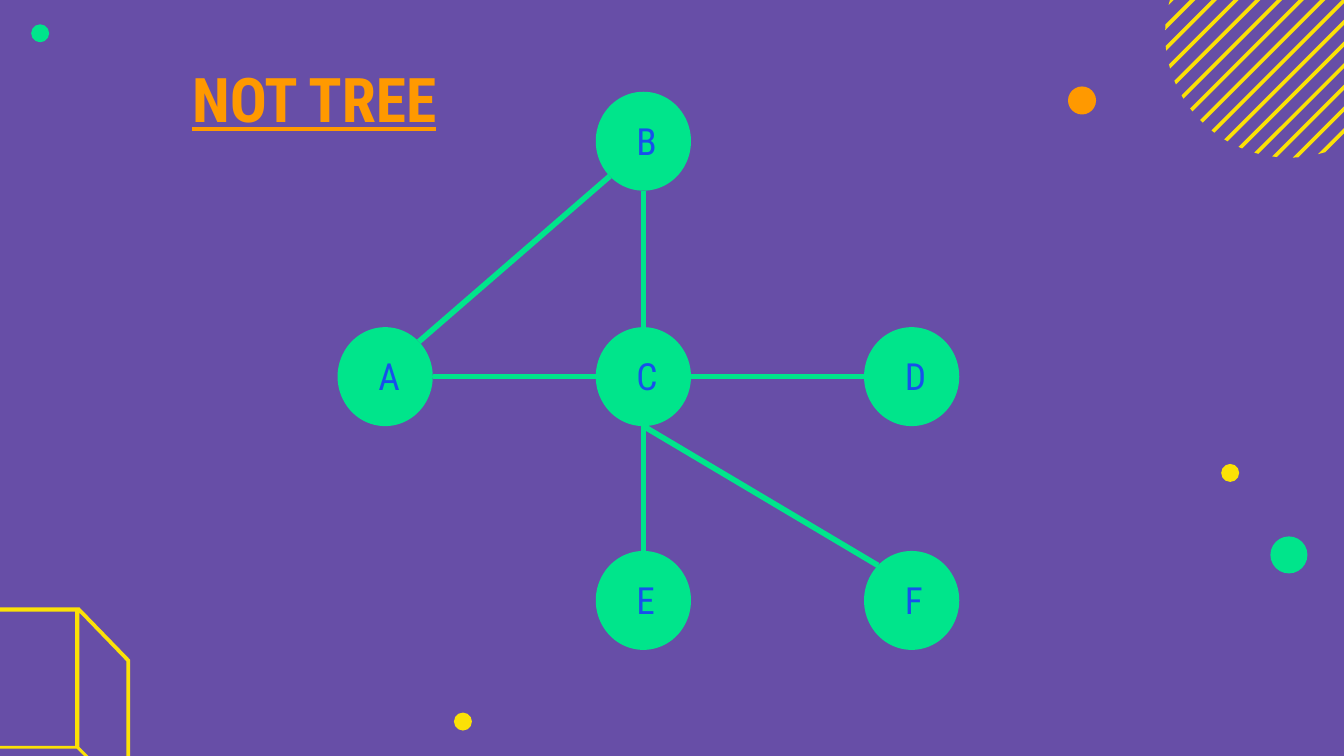
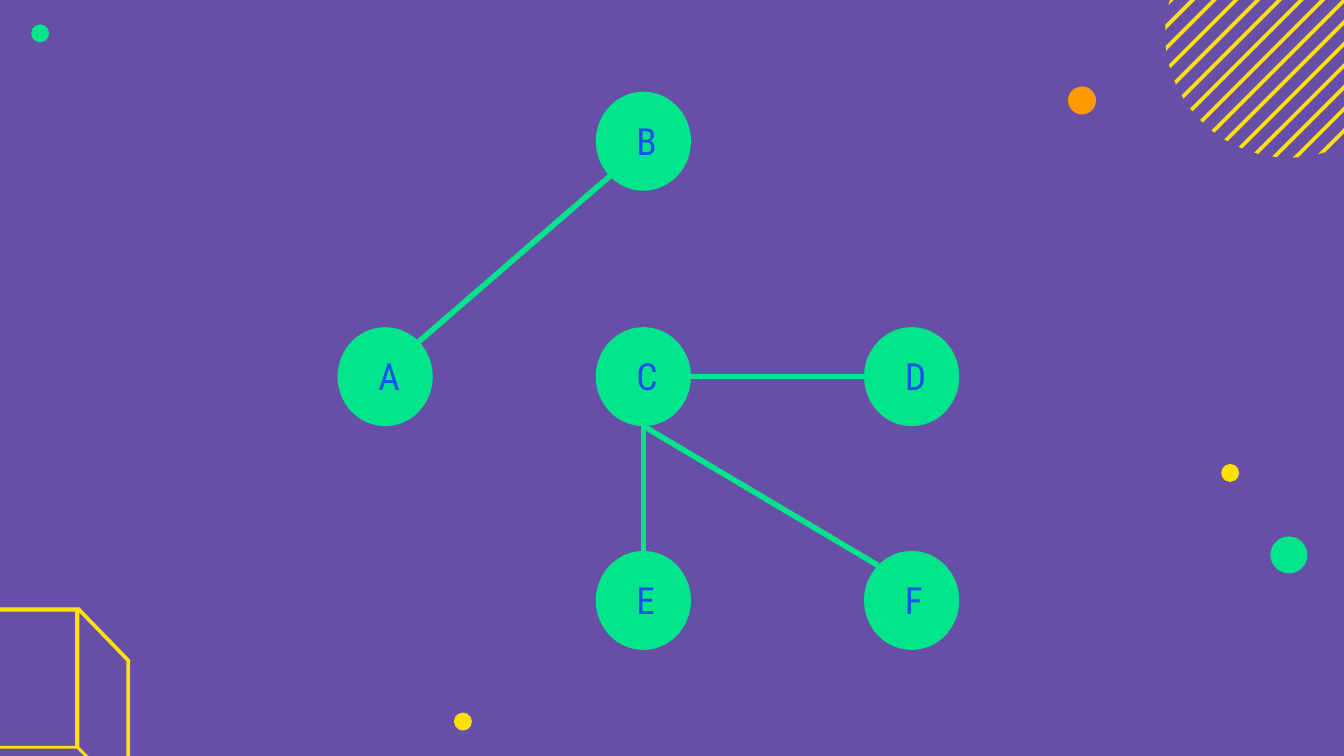
import dataclasses
import math

import lxml.etree
import pptx
import pptx.dml.color
import pptx.enum.shapes
import pptx.enum.text
import pptx.oxml.ns
import pptx.util

Cm = pptx.util.Cm
Pt = pptx.util.Pt
Rgb = pptx.dml.color.RGBColor


@dataclasses.dataclass(frozen=True)
class Theme:
    purple: Rgb = Rgb.from_string("674EA7")
    green: Rgb = Rgb.from_string("00E58B")
    yellow: Rgb = Rgb.from_string("FBE106")
    orange: Rgb = Rgb.from_string("FF9900")
    blue: Rgb = Rgb.from_string("1750EB")
    font: str = "Roboto Condensed"
    title_size: Pt = Pt(33)
    letter_size: Pt = Pt(20)
    edge_width: Pt = Pt(3)


THEME = Theme()
TITLE_ONLY_LAYOUT, BLANK_LAYOUT = 5, 6

# Lengths in the tables below are centimetres.
NODE_WIDTH, NODE_HEIGHT = 1.8, 1.87
LETTER_WIDTH, LETTER_HEIGHT = 0.76, 1.37
LEFT, MIDDLE, RIGHT = 7.28, 12.16, 17.23
TOP, CENTRE, BOTTOM = 2.67, 7.12, 11.35
NODES = {
    "A": (LEFT, CENTRE),
    "C": (MIDDLE, CENTRE),
    "D": (RIGHT, CENTRE),
    "B": (MIDDLE, TOP),
    "E": (MIDDLE, BOTTOM),
    "F": (RIGHT, BOTTOM),
}

# Connection sites of an ellipse, counter-clockwise from the top.
N, NW, W, SW, S, SE, E, NE = range(8)
SHARED_EDGES = [
    (("C", E), ("D", W)),
    (("E", N), ("C", S)),
    (("F", NW), ("C", S)),
    (("A", NE), ("B", SW)),
]
CYCLE_EDGES = [(("A", E), ("C", W)), (("C", N), ("B", S))]

DOTS = [  # colour, centre x, centre y, diameter
    (THEME.yellow, 8.75, 13.64, 0.34),
    (THEME.yellow, 23.25, 8.94, 0.34),
    (THEME.orange, 20.45, 1.9, 0.53),
    (THEME.green, 24.36, 10.49, 0.7),
    (THEME.green, 0.76, 0.63, 0.34),
]
CUBE_CONTOURS = [  # outline, then the three faces cut out of it
    [(-1.19, 11.48), (-1.19, 14.15), (-0.2, 15.14),
     (2.46, 15.14), (2.46, 12.47), (1.5, 11.48)],
    [(1.42, 11.56), (1.42, 14.1), (-1.12, 14.1), (-1.12, 11.56)],
    [(1.5, 11.58), (2.39, 12.5), (2.39, 15.01), (1.5, 14.12)],
    [(1.45, 14.15), (2.36, 15.06), (-0.18, 15.06), (-1.09, 14.15)],
]
STRIPE_DISC = (24.36, 0.64, 2.34)  # centre x, centre y, radius
STRIPE_PITCH, STRIPE_THICKNESS = 0.29, 0.07
STRIPES_EACH_SIDE = 7


def paint(shape, colour):
    shape.shadow.inherit = False
    shape.fill.solid()
    shape.fill.fore_color.rgb = colour
    shape.line.fill.background()


def centred_box(x, y, width, height):
    return Cm(x - width / 2), Cm(y - height / 2), Cm(width), Cm(height)


def add_ellipse(shapes, x, y, width, height, colour):
    ellipse = shapes.add_shape(
        pptx.enum.shapes.MSO_SHAPE.OVAL, *centred_box(x, y, width, height))
    paint(ellipse, colour)
    return ellipse


def add_outline(shapes, contours, colour):
    """Add one filled freeform; later contours are holes in the first."""
    builder = None
    for contour in contours:
        start, *others = [(Cm(x), Cm(y)) for x, y in contour]
        if builder is None:
            builder = shapes.build_freeform(*start)
        else:
            builder.move_to(*start)
        builder.add_line_segments(others, close=True)
    paint(builder.convert_to_shape(), colour)


def chord(offset):
    """Return both ends of the rising diagonal chord at this distance from the centre."""
    x, y, radius = STRIPE_DISC
    half = math.sqrt(radius ** 2 - offset ** 2)
    diagonal = math.sqrt(0.5)
    return [(x + (offset + side * half) * diagonal,
             y + (offset - side * half) * diagonal) for side in (1, -1)]


def add_striped_disc(shapes):
    group = shapes.add_group_shape()
    for index in range(-STRIPES_EACH_SIDE, STRIPES_EACH_SIDE + 1):
        offset = index * STRIPE_PITCH
        upper = chord(offset - STRIPE_THICKNESS / 2)
        lower = chord(offset + STRIPE_THICKNESS / 2)
        add_outline(group.shapes, [upper + lower[::-1]], THEME.yellow)


def decorate_master(master, slide):
    """Draw the decoration on the slide, then move it to the master."""
    master.background.fill.solid()
    master.background.fill.fore_color.rgb = THEME.purple
    existing = {shape.shape_id for shape in slide.shapes}
    add_outline(slide.shapes, CUBE_CONTOURS, THEME.yellow)
    add_striped_disc(slide.shapes)
    for colour, x, y, diameter in DOTS:
        add_ellipse(slide.shapes, x, y, diameter, diameter, colour)
    next_id = max(shape.shape_id for shape in master.shapes) + 1
    for shape in list(slide.shapes):
        if shape.shape_id in existing:
            continue
        for properties in shape.element.xpath(".//p:cNvPr"):
            properties.set("id", str(next_id))
            next_id += 1
        master.shapes.element.append(shape.element)


def write(text_frame, text, size, colour):
    text_frame.word_wrap = True
    text_frame.auto_size = pptx.enum.text.MSO_AUTO_SIZE.SHAPE_TO_FIT_TEXT
    text_frame.vertical_anchor = pptx.enum.text.MSO_ANCHOR.TOP
    for side in ("left", "top", "right", "bottom"):
        setattr(text_frame, f"margin_{side}", Cm(0.25))
    paragraph = text_frame.paragraphs[0]
    paragraph.alignment = pptx.enum.text.PP_ALIGN.LEFT
    run = paragraph.add_run()
    run.text = text
    run.font.name = THEME.font
    run.font.size = size
    run.font.color.rgb = colour
    return run


def set_title(slide, text):
    title = slide.shapes.title
    title.left, title.top = Cm(3.38), Cm(0.91)
    title.width, title.height = Cm(5.51), Cm(1.93)
    run = write(title.text_frame, text, THEME.title_size, THEME.orange)
    run.font.bold = True
    run.font.underline = True


def add_node(slide, letter):
    x, y = NODES[letter]
    ellipse = add_ellipse(slide.shapes, x, y, NODE_WIDTH, NODE_HEIGHT, THEME.green)
    label = slide.shapes.add_textbox(
        *centred_box(x, y, LETTER_WIDTH, LETTER_HEIGHT))
    write(label.text_frame, letter, THEME.letter_size, THEME.blue)
    return ellipse


def site_point(letter, site):
    x, y = NODES[letter]
    angle = math.radians(45 * site)
    return (Cm(x - NODE_WIDTH / 2 * math.sin(angle)),
            Cm(y - NODE_HEIGHT / 2 * math.cos(angle)))


def add_edge(slide, ellipses, start, end):
    """Join two (letter, site) ends with a connector attached to both nodes."""
    connector = slide.shapes.add_connector(
        pptx.enum.shapes.MSO_CONNECTOR.STRAIGHT,
        *site_point(*start), *site_point(*end))
    connector.line.color.rgb = THEME.green
    connector.line.width = THEME.edge_width
    qn = pptx.oxml.ns.qn
    lxml.etree.SubElement(connector.element.spPr, qn("a:effectLst"))
    attachment = connector.element.find(".//" + qn("p:cNvCxnSpPr"))
    for tag, (letter, site) in (("a:stCxn", start), ("a:endCxn", end)):
        lxml.etree.SubElement(attachment, qn(tag), {
            "id": str(ellipses[letter].shape_id), "idx": str(site)})


def add_graph(slide, edges):
    ellipses = {letter: add_node(slide, letter) for letter in NODES}
    for start, end in edges:
        add_edge(slide, ellipses, start, end)


def main():
    presentation = pptx.Presentation()
    presentation.slide_width = Cm(25.4)
    presentation.slide_height = Cm(14.29)
    layouts = presentation.slide_layouts

    cyclic_slide = presentation.slides.add_slide(layouts[TITLE_ONLY_LAYOUT])
    decorate_master(presentation.slide_master, cyclic_slide)
    set_title(cyclic_slide, "NOT TREE")
    add_graph(cyclic_slide, CYCLE_EDGES + SHARED_EDGES)

    disconnected_slide = presentation.slides.add_slide(layouts[BLANK_LAYOUT])
    add_graph(disconnected_slide, SHARED_EDGES)

    presentation.save("out.pptx")


if __name__ == "__main__":
    main()
